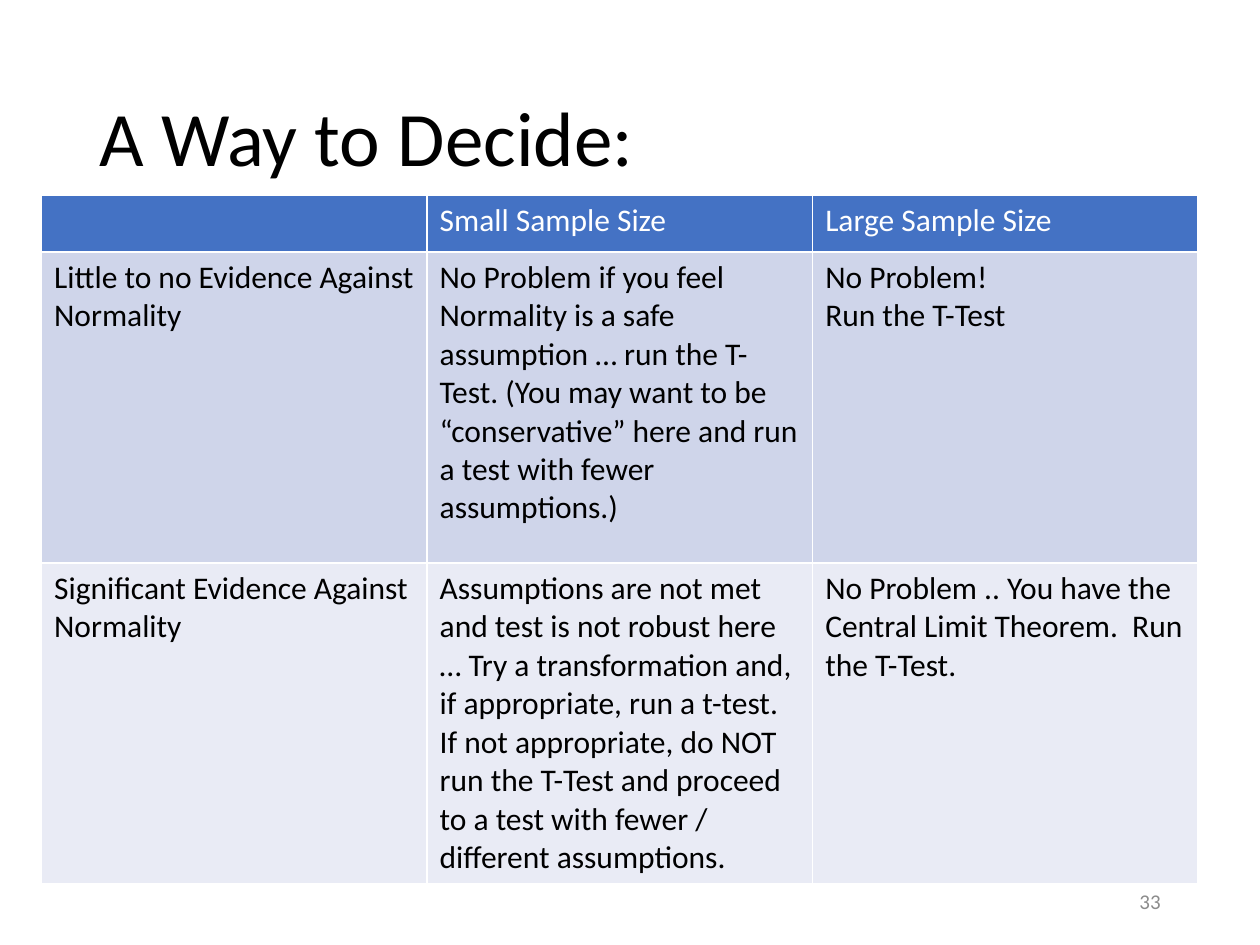
"""Build the slide on choosing a test from normality evidence and sample size."""
from dataclasses import dataclass

from pptx import Presentation
from pptx.dml.color import RGBColor
from pptx.enum.text import MSO_ANCHOR, PP_ALIGN
from pptx.slide import Slide
from pptx.text.text import TextFrame
from pptx.util import Inches, Pt

FONT = "Calibri"
BLACK = RGBColor(0x00, 0x00, 0x00)
WHITE = RGBColor(0xFF, 0xFF, 0xFF)
GRAY = RGBColor(0x8C, 0x8C, 0x8C)
HEADER_BLUE = RGBColor(0x44, 0x72, 0xC4)
BAND_DARK = RGBColor(0xCF, 0xD5, 0xEA)
BAND_LIGHT = RGBColor(0xE9, 0xEB, 0xF5)
COLUMN_WIDTH = 3.06


@dataclass(frozen=True)
class Label:
    text: str
    left: float
    top: float
    width: float
    height: float
    size: int
    color: RGBColor
    align: PP_ALIGN = PP_ALIGN.LEFT
    line_spacing: float = 1.0


@dataclass(frozen=True)
class DecisionRow:
    cells: tuple[str, ...]
    height: float
    fill: RGBColor
    color: RGBColor = BLACK


LABELS = (
    Label("A Way to Decide:", 0.69, 0.4, 8.62, 1.45, 44, BLACK, line_spacing=0.9),
    Label("33", 7.06, 6.95, 2.25, 0.4, 12, GRAY, PP_ALIGN.RIGHT),
)

ROWS = (
    DecisionRow(("", "Small Sample Size", "Large Sample Size"), 0.45, HEADER_BLUE, WHITE),
    DecisionRow(
        (
            "Little to no Evidence Against Normality",
            "No Problem if you feel Normality is a safe assumption … run the T-Test. "
            "(You may want to be “conservative” here and run a test with fewer assumptions.)",
            "No Problem!\nRun the T-Test",
        ),
        2.47,
        BAND_DARK,
    ),
    DecisionRow(
        (
            "Significant Evidence Against Normality",
            "Assumptions are not met and test is not robust here … Try a transformation and, "
            "if appropriate, run a t-test. If not appropriate, do NOT run the T-Test and "
            "proceed to a test with fewer / different assumptions.",
            "No Problem .. You have the Central Limit Theorem.  Run the T-Test.",
        ),
        2.47,
        BAND_LIGHT,
    ),
)


def write_text(text_frame: TextFrame, text: str, size: int, color: RGBColor) -> None:
    text_frame.text = text
    for paragraph in text_frame.paragraphs:
        font = paragraph.font
        font.name, font.size, font.bold = FONT, Pt(size), False
        font.color.rgb = color
        for run in paragraph.runs:
            run.font.name, run.font.size, run.font.bold = FONT, Pt(size), False
            run.font.color.rgb = color


def add_label(slide: Slide, label: Label) -> None:
    shape = slide.shapes.add_textbox(
        Inches(label.left), Inches(label.top), Inches(label.width), Inches(label.height)
    )
    text_frame = shape.text_frame
    text_frame.word_wrap = True
    text_frame.vertical_anchor = MSO_ANCHOR.MIDDLE
    write_text(text_frame, label.text, label.size, label.color)
    paragraph = text_frame.paragraphs[0]
    paragraph.alignment = label.align
    paragraph.line_spacing = label.line_spacing


def add_decision_table(slide: Slide, rows: tuple[DecisionRow, ...]) -> None:
    column_count = len(rows[0].cells)
    table = slide.shapes.add_table(
        len(rows),
        column_count,
        Inches(0.33),
        Inches(1.55),
        Inches(COLUMN_WIDTH * column_count),
        Inches(sum(row.height for row in rows)),
    ).table
    for column in table.columns:
        column.width = Inches(COLUMN_WIDTH)
    for table_row, row in zip(table.rows, rows):
        table_row.height = Inches(row.height)
        for cell, text in zip(table_row.cells, row.cells):
            cell.fill.solid()
            cell.fill.fore_color.rgb = row.fill
            write_text(cell.text_frame, text, 18, row.color)


def main() -> None:
    presentation = Presentation()
    presentation.slide_width, presentation.slide_height = Inches(10), Inches(7.5)
    slide = presentation.slides.add_slide(presentation.slide_layouts[6])
    add_decision_table(slide, ROWS)
    for label in LABELS:
        add_label(slide, label)
    presentation.save("out.pptx")


if __name__ == "__main__":
    main()
